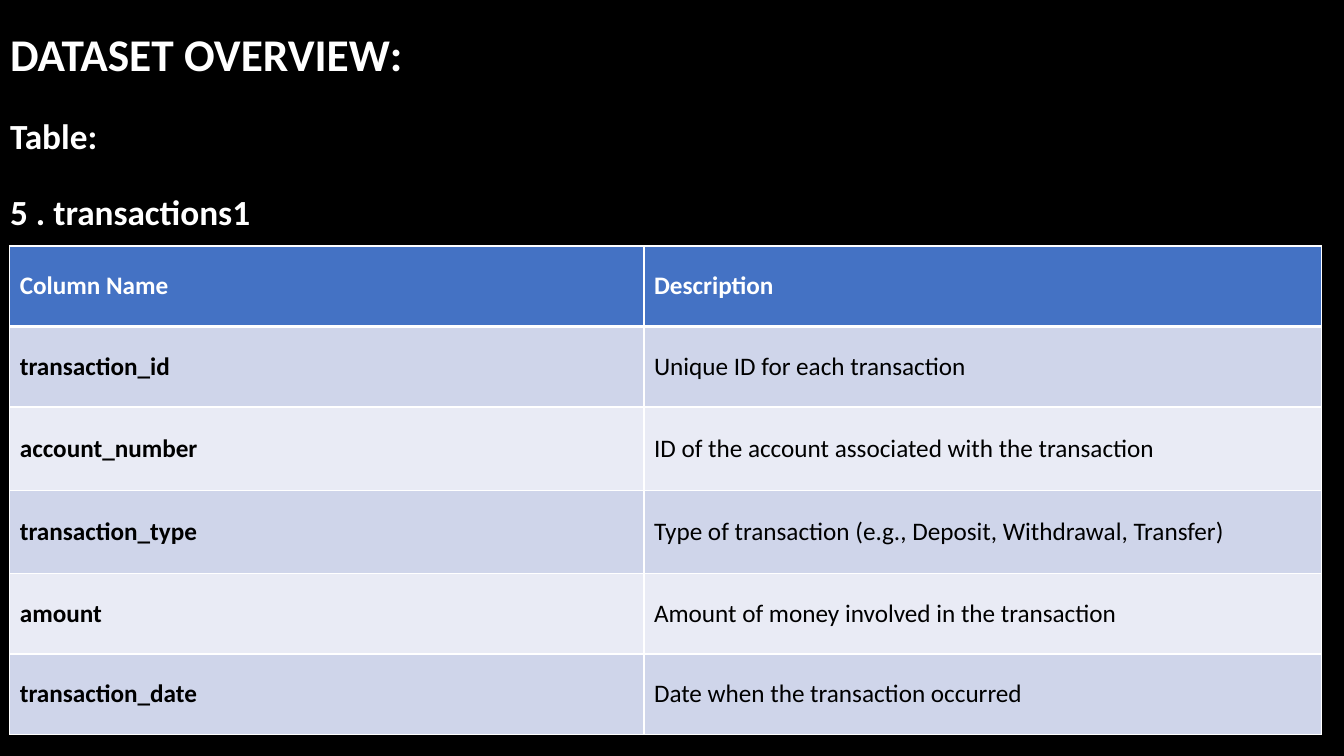
from lxml import etree
from pptx import Presentation
from pptx.dml.color import RGBColor
from pptx.enum.text import MSO_ANCHOR, MSO_AUTO_SIZE, PP_ALIGN
from pptx.oxml.ns import qn
from pptx.util import Pt

MIDDLE = MSO_ANCHOR.MIDDLE
LEFT = PP_ALIGN.LEFT
NO_AUTOFIT = MSO_AUTO_SIZE.NONE

# text, size, space before
HEADINGS = [
    ("DATASET OVERVIEW:", 32.4, 0),
    ("Table:", 25.2, 27),
    ("5 . transactions1", 25.2, 27),
]
COLUMNS = [
    ("Column Name", "Description"),
    ("transaction_id", "Unique ID for each transaction"),
    ("account_number", "ID of the account associated with the transaction"),
    ("transaction_type", "Type of transaction (e.g., Deposit, Withdrawal, Transfer)"),
    ("amount", "Amount of money involved in the transaction"),
    ("transaction_date", "Date when the transaction occurred"),
]
COLUMN_WIDTHS = [453, 484]
ROW_HEIGHTS = [57.5, 57.5, 59.5, 59.5, 57.5, 57.5]
TABLE_LEFT, TABLE_TOP = 7, 175.7

FONT = "Calibri"
BLACK, WHITE = "000000", "FFFFFF"
HEADER_FILL = "4472C4"
BAND_FILLS = ["E9EBF5", "CFD5EA"]


def rgb(color):
    return RGBColor.from_string(color)


def set_attributes(target, values):
    for key, value in values.items():
        setattr(target, key, value)


def format_font(font, size, color, bold):
    set_attributes(font, {"name": FONT, "size": Pt(size), "bold": bold})
    font.color.rgb = rgb(color)


def set_borders(cell, widths):
    """Draw white cell borders; widths maps lnL, lnR, lnT and lnB to points."""
    properties = cell._tc.get_or_add_tcPr()
    for position, (side, width) in enumerate(widths.items()):
        line = etree.Element(qn(f"a:{side}"), w=str(Pt(width)))
        fill = etree.SubElement(line, qn("a:solidFill"))
        etree.SubElement(fill, qn("a:srgbClr"), val=WHITE)
        properties.insert(position, line)


def add_headings(slide):
    title = slide.shapes.title
    set_attributes(title, {"left": Pt(0), "top": Pt(49.7),
                           "width": Pt(960), "height": Pt(118)})
    frame = title.text_frame
    set_attributes(frame, {"word_wrap": True, "auto_size": NO_AUTOFIT,
                           "vertical_anchor": MIDDLE,
                           "margin_left": Pt(7.2), "margin_right": Pt(7.2),
                           "margin_top": Pt(3.6), "margin_bottom": Pt(31.3)})
    frame.text = "\n".join(text for text, _, _ in HEADINGS)
    for paragraph, (_, size, gap) in zip(frame.paragraphs, HEADINGS):
        set_attributes(paragraph, {"alignment": LEFT, "line_spacing": 0.9,
                                   "space_before": Pt(gap)})
        format_font(paragraph.font, size, WHITE, True)


def add_column_table(slide):
    table = slide.shapes.add_table(
        len(COLUMNS), len(COLUMN_WIDTHS), Pt(TABLE_LEFT), Pt(TABLE_TOP),
        Pt(sum(COLUMN_WIDTHS)), Pt(sum(ROW_HEIGHTS))).table
    for column, width in zip(table.columns, COLUMN_WIDTHS):
        column.width = Pt(width)
    for r, (row, height) in enumerate(zip(table.rows, ROW_HEIGHTS)):
        row.height = Pt(height)
        header = r == 0
        for c, cell in enumerate(row.cells):
            cell.text = COLUMNS[r][c]
            cell.vertical_anchor = MIDDLE
            cell.fill.solid()
            cell.fill.fore_color.rgb = rgb(HEADER_FILL if header else BAND_FILLS[r % 2])
            format_font(cell.text_frame.paragraphs[0].font, 18,
                        WHITE if header else BLACK, header or c == 0)
            set_borders(cell, {"lnL": 1, "lnR": 1, "lnT": 3 if r == 1 else 1,
                               "lnB": 3 if header else 1})


def main():
    deck = Presentation()
    set_attributes(deck, {"slide_width": Pt(960), "slide_height": Pt(540)})
    slide = deck.slides.add_slide(deck.slide_layouts.get_by_name("Title Only"))
    slide.background.fill.solid()
    slide.background.fill.fore_color.rgb = rgb(BLACK)
    add_headings(slide)
    add_column_table(slide)
    deck.save("out.pptx")


if __name__ == "__main__":
    main()
